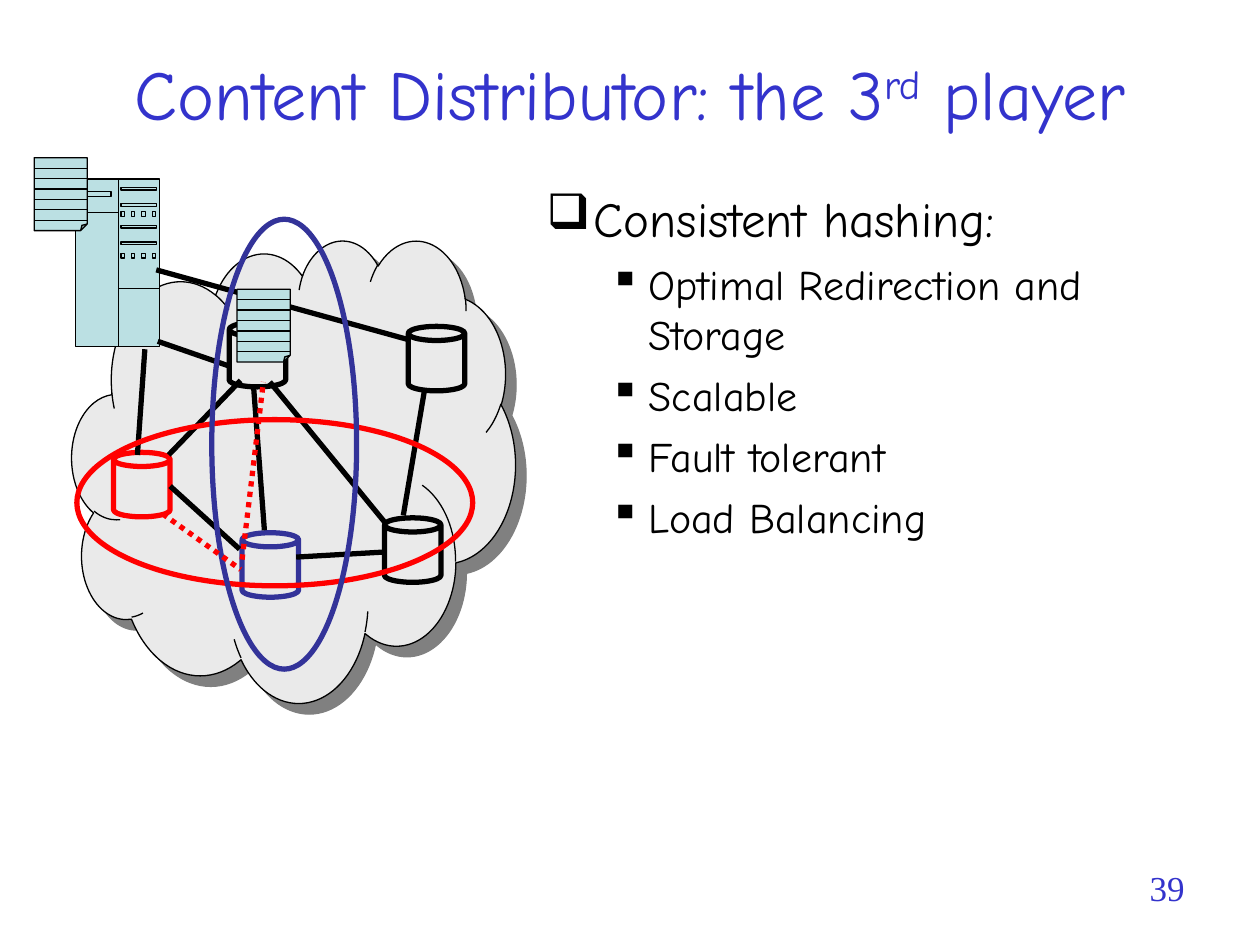
from lxml import etree
from pptx import Presentation
from pptx.dml.color import RGBColor
from pptx.enum.dml import MSO_LINE
from pptx.enum.shapes import MSO_CONNECTOR, MSO_SHAPE
from pptx.enum.text import MSO_ANCHOR, PP_ALIGN
from pptx.oxml.ns import qn
from pptx.util import Cm, Pt

STRAIGHT = MSO_CONNECTOR.STRAIGHT
DOTTED = MSO_LINE.ROUND_DOT
CAN, CLOUD, OVAL = MSO_SHAPE.CAN, MSO_SHAPE.CLOUD, MSO_SHAPE.OVAL
RECTANGLE, FOLDED_CORNER = MSO_SHAPE.RECTANGLE, MSO_SHAPE.FOLDED_CORNER
MIDDLE = MSO_ANCHOR.MIDDLE
CENTER, RIGHT = PP_ALIGN.CENTER, PP_ALIGN.RIGHT

BLACK = RGBColor(0x00, 0x00, 0x00)
RED = RGBColor(0xFF, 0x00, 0x00)
INDIGO = RGBColor(0x33, 0x33, 0x99)
TITLE_BLUE = RGBColor(0x33, 0x33, 0xCC)
CLOUD_GRAY = RGBColor(0xEA, 0xEA, 0xEA)
PALE_TEAL = RGBColor(0xBB, 0xE0, 0xE3)
BODY_FONT = "Comic Neue"
THIN, THICK = Pt(0.75), Pt(3)

prs = Presentation()
prs.slide_width, prs.slide_height = Cm(25.4), Cm(19.05)
slide = prs.slides.add_slide(prs.slide_layouts[6])
shapes = slide.shapes


def add_outline(preset, left, top, width, height, color, weight, fill=None):
    """Add a preset shape; without a fill it stays see-through."""
    shape = shapes.add_shape(preset, Cm(left), Cm(top), Cm(width), Cm(height))
    shape.shadow.inherit = False
    if fill is None:
        shape.fill.background()
    else:
        shape.fill.solid()
        shape.fill.fore_color.rgb = fill
    shape.line.color.rgb = color
    shape.line.width = weight
    return shape


def add_link(x1, y1, x2, y2, color=BLACK, weight=THICK):
    link = shapes.add_connector(STRAIGHT, Cm(x1), Cm(y1), Cm(x2), Cm(y2))
    link.line.color.rgb = color
    link.line.width = weight
    etree.SubElement(link._element.spPr, qn("a:effectLst"))
    return link


# Title
title = shapes.add_textbox(Cm(0), Cm(0.28), Cm(25.4), Cm(3.18)).text_frame
title.word_wrap = True
title.vertical_anchor = MIDDLE
title.paragraphs[0].alignment = CENTER
for words, baseline in [("Content Distributor: the 3", 0), ("rd", 30000), (" player", 0)]:
    run = title.paragraphs[0].add_run()
    run.text = words
    run.font.name, run.font.size = BODY_FONT, Pt(40)
    run.font.color.rgb = TITLE_BLUE
    if baseline:
        run.font._element.set("baseline", str(baseline))

# Bullets
body = shapes.add_textbox(Cm(10.77), Cm(3.68), Cm(13.31), Cm(13.49)).text_frame
body.word_wrap = True
bullets = [
    (0, "Consistent hashing:"),
    (1, "Optimal Redirection and Storage"),
    (1, "Scalable"),
    (1, "Fault tolerant"),
    (1, "Load Balancing"),
]
# Per level: bullet, text size, left margin, hanging indent
levels = [("❑", Pt(28), Cm(0.95), Cm(0.95)), ("▪", Pt(24), Cm(2.06), Cm(0.79))]
for index, (level, words) in enumerate(bullets):
    mark, size, margin, hanging = levels[level]
    paragraph = body.paragraphs[0] if index == 0 else body.add_paragraph()
    paragraph.level = level
    if index:
        paragraph.space_before = Pt(6)
    properties = paragraph._p.get_or_add_pPr()
    properties.set("marL", str(margin))
    properties.set("indent", str(-hanging))
    etree.SubElement(properties, qn("a:buChar")).set("char", mark)
    run = paragraph.add_run()
    run.text = words
    run.font.name, run.font.size = BODY_FONT, size
    run.font.color.rgb = BLACK

# Network cloud with a solid offset shadow
cloud = add_outline(CLOUD, 1.45, 4.83, 8.94, 9.32, BLACK, THIN, CLOUD_GRAY)
effects = cloud._element.spPr.find(qn("a:effectLst"))
shadow = etree.SubElement(effects, qn("a:outerShdw"), dist=str(Pt(8.5)),
                          dir=str(45 * 60000), algn="ctr", rotWithShape="0")
etree.SubElement(shadow, qn("a:srgbClr"), val="808080")

# Origin server: case, then dividers, drive slots and lamps as one outline
add_outline(RECTANGLE, 1.52, 3.61, 1.7, 3.38, BLACK, THIN, PALE_TEAL)
panels = [(1.68, 3.86, 0.56, 0.1)]
panels += [(2.44, y, 0.71, 0.05) for y in (3.78, 4.11, 4.55, 4.88)]
panels += [(2.44 + 0.21 * i, y, 0.07, 0.09) for y in (4.27, 5.11) for i in range(4)]
front = shapes.build_freeform(Cm(2.39), Cm(3.61), scale=1.0)
front.add_line_segments([(Cm(2.39), Cm(6.99))], close=False)
for x1, x2, y in [(1.52, 2.39, 4.29), (2.39, 3.22, 5.82)]:
    front.move_to(Cm(x1), Cm(y))
    front.add_line_segments([(Cm(x2), Cm(y))], close=False)
for x, y, width, height in panels:
    left, top, right, bottom = Cm(x), Cm(y), Cm(x + width), Cm(y + height)
    front.move_to(left, top)
    front.add_line_segments([(right, top), (right, bottom), (left, bottom)])
server_front = front.convert_to_shape()
server_front.shadow.inherit = False
server_front.fill.background()
server_front.line.color.rgb = BLACK
server_front.line.width = THIN

# Caches and the links between them
for left, top, color in [
    (7.75, 10.44, BLACK), (8.23, 6.58, BLACK), (2.29, 9.12, RED),
    (4.62, 6.5, BLACK), (4.88, 10.74, INDIGO),
]:
    add_outline(CAN, left, top, 1.14, 1.3, color, THICK)
for ends in [
    (3.43, 9.8, 4.83, 11.07),
    (5.33, 10.69, 5.11, 7.77),
    (5.44, 7.7, 7.75, 10.52),
    (8.13, 10.39, 8.56, 7.85),
    (3.4, 9.17, 4.85, 7.67),
    (5.97, 11.23, 7.72, 11.13),
    (2.92, 7.04, 2.77, 9.17),
    (3.18, 6.88, 4.65, 7.39),
    (3.15, 5.44, 8.28, 6.86),
]:
    add_link(*ends)

# Ruled documents: on the server and on a cache
for left, top in [(0.69, 3.18), (4.78, 5.83)]:
    page = add_outline(FOLDED_CORNER, left, top, 1.07, 1.47, BLACK, THIN, PALE_TEAL)
    fold = page._element.spPr.find(qn("a:prstGeom")).get_or_add_avLst()
    etree.SubElement(fold, qn("a:gd"), name="adj", fmla="val 12500")
    for rule in range(1, 7):
        y = top + 0.21 * rule
        add_link(left, y, left + 1.07, y, weight=THIN)

# Cache groups and redirection routes
add_outline(OVAL, 1.55, 8.46, 7.98, 3.35, RED, THICK)
add_outline(OVAL, 4.27, 4.42, 2.92, 9.07, INDIGO, THICK)
for ends in [(3.28, 10.36, 4.85, 11.48), (4.88, 11.28, 5.31, 7.7)]:
    add_link(*ends, color=RED).line.dash_style = DOTTED

# Page number
footer = shapes.add_textbox(Cm(21.59), Cm(17.35), Cm(2.54), Cm(1.32)).text_frame
footer.word_wrap = True
footer.paragraphs[0].alignment = RIGHT
run = footer.paragraphs[0].add_run()
run.text = "39"
run.font.name, run.font.size = "Times New Roman", Pt(20)
run.font.color.rgb = TITLE_BLUE

prs.save("out.pptx")
